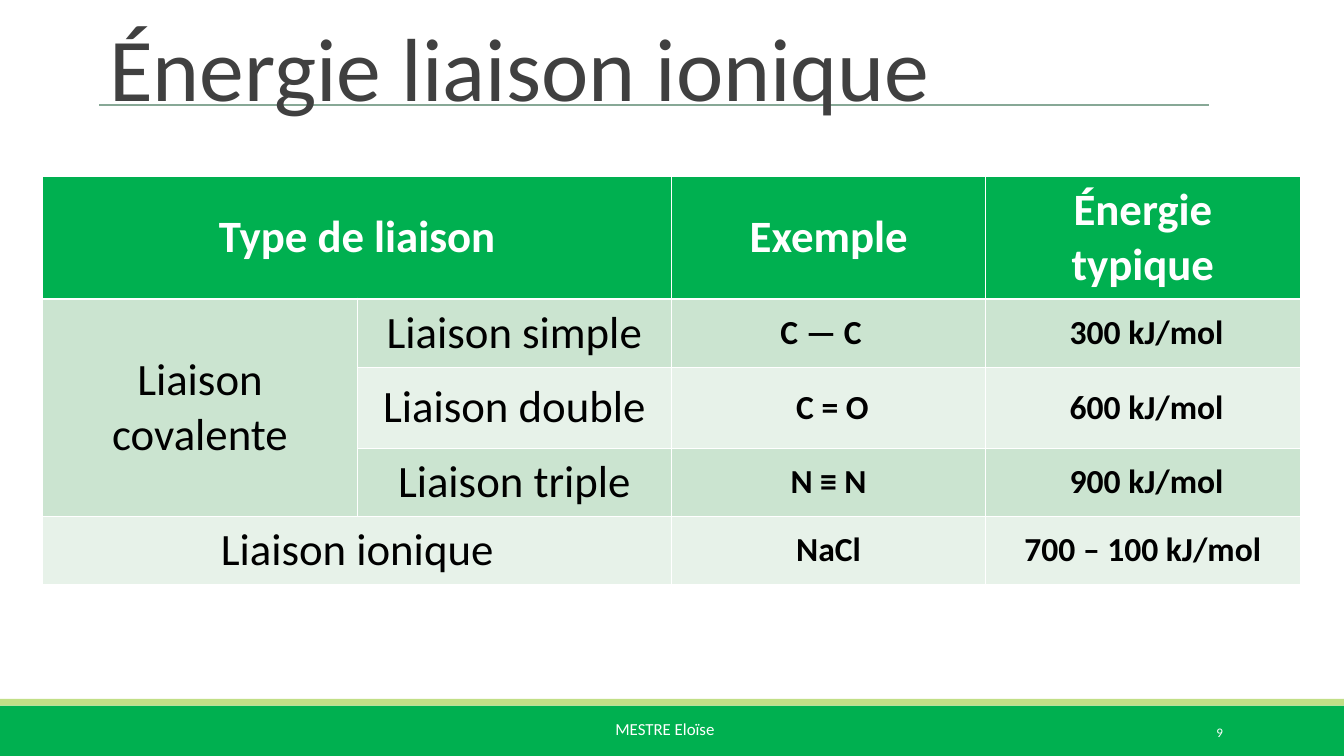
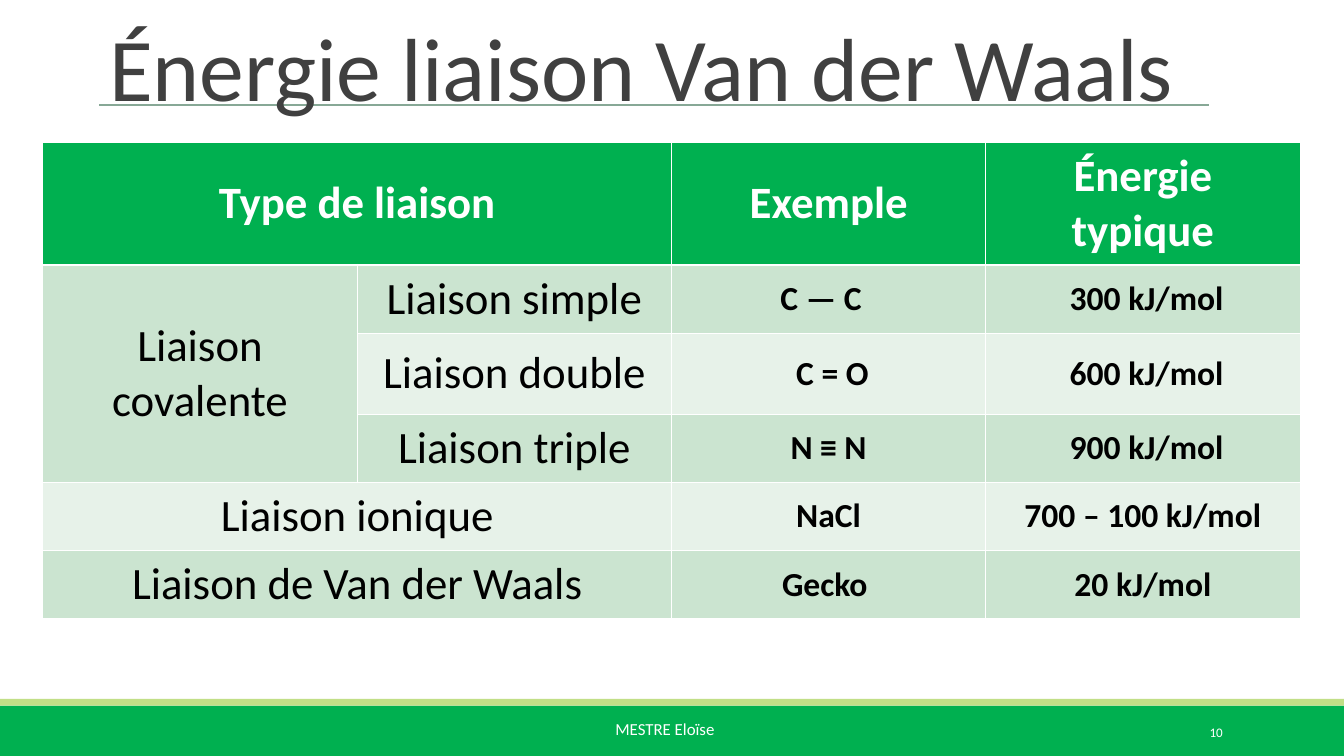
from dataclasses import dataclass

from lxml.etree import SubElement
from pptx import Presentation
from pptx.dml.color import RGBColor as Rgb
from pptx.enum.shapes import MSO_CONNECTOR as Connector, MSO_SHAPE as Preset
from pptx.enum.text import MSO_ANCHOR as Anchor, MSO_AUTO_SIZE as AutoSize, PP_ALIGN as Align
from pptx.oxml.ns import qn
from pptx.util import Cm, Pt


@dataclass(frozen=True)
class Theme:
    """Colours, font and type sizes shared by the slides."""
    font: str = "Calibri"
    green: str = "00B050"
    lime: str = "C1DF87"
    rule: str = "87A896"
    title: str = "404040"
    white: str = "FFFFFF"
    black: str = "000000"
    bands: tuple = ("E7F2E9", "CBE4D0")
    title_size: float = 48
    label_size: float = 24
    value_size: float = 18
    author_size: float = 9
    number_size: float = 7
    thin: float = 0.45
    thick: float = 1.47


THEME = Theme()
AUTHOR = "MESTRE Eloïse"
WIDTH, HEIGHT = 25.4, 14.29
BAND_TOP, STRIP_TOP, FOOTER_TOP = 13.34, 13.21, 13.46
TITLE_LEFT, TITLE_WIDTH = 1.88, 20.96
TABLE_LEFT, COLUMN_WIDTH = 0.81, 5.94
HEADER_HEIGHT, ROW_HEIGHT, DOUBLE_BOND_HEIGHT = 2.3, 1.28, 1.53

BONDS = [
    ("Type de liaison", None, "Exemple", "Énergie typique"),
    ("Liaison covalente", "Liaison simple", "C — C", " 300 kJ/mol"),
    (None, "Liaison double", " C = O", " 600 kJ/mol"),
    (None, "Liaison triple", "N ≡ N", " 900 kJ/mol"),
    ("Liaison ionique", None, "NaCl", "700 – 100 kJ/mol"),
]
VAN_DER_WAALS = ("Liaison de Van der Waals", None, "Gecko ", "20 kJ/mol")


def write(frame, text, size, colour, align=Align.LEFT, bold=False):
    """Put one formatted paragraph in a text frame and return it."""
    frame.text = text
    para = frame.paragraphs[0]
    para.alignment = align
    for span in para.runs:
        span.font.name = THEME.font
        span.font.size = Pt(size)
        span.font.bold = bold
        span.font.color.rgb = Rgb.from_string(colour)
    return para


def add_band(page, top, height, colour):
    """Draw a plain full-width band."""
    band = page.shapes.add_shape(Preset.RECTANGLE, 0, Cm(top), Cm(WIDTH), Cm(height))
    band.shadow.inherit = False
    band.fill.solid()
    band.fill.fore_color.rgb = Rgb.from_string(colour)
    band.line.fill.background()


def add_rule(page, top):
    """Draw the line that runs under the title."""
    rule = page.shapes.add_connector(
        Connector.STRAIGHT, Cm(TITLE_LEFT), Cm(top), Cm(TITLE_LEFT + TITLE_WIDTH), Cm(top))
    rule.line.color.rgb = Rgb.from_string(THEME.rule)
    rule.line.width = Pt(1)
    SubElement(rule.element.spPr, qn("a:effectLst"))


def add_footer(page, number):
    """Add the author and the page number over the green band."""
    box = page.shapes.add_textbox(Cm(11.38), Cm(FOOTER_TOP), Cm(2.64), Cm(1.02))
    box.text_frame.word_wrap = False
    box.text_frame.auto_size = AutoSize.SHAPE_TO_FIT_TEXT
    write(box.text_frame, AUTHOR, THEME.author_size, THEME.white)
    box = page.shapes.add_textbox(Cm(20.62), Cm(FOOTER_TOP), Cm(2.74), Cm(0.76))
    box.text_frame.word_wrap = True
    box.text_frame.vertical_anchor = Anchor.MIDDLE
    write(box.text_frame, str(number), THEME.number_size, THEME.white, Align.RIGHT)


def set_title(page, text):
    """Place the title in front of the rule and format it."""
    title = page.shapes.title
    title.element.getparent().append(title.element)
    title.left, title.top = Cm(TITLE_LEFT), Cm(0.41)
    title.width, title.height = Cm(TITLE_WIDTH), Cm(1.93)
    frame = title.text_frame
    frame.word_wrap = True
    frame.auto_size = AutoSize.NONE
    frame.vertical_anchor = Anchor.BOTTOM
    frame.margin_left = frame.margin_right = Cm(0.18)
    frame.margin_top = frame.margin_bottom = Cm(0.08)
    write(frame, text, THEME.title_size, THEME.title).line_spacing = 0.85


def set_borders(cell, row):
    """Outline a cell in white, thicker between header and body."""
    properties = cell._tc.get_or_add_tcPr()
    for side in ("L", "R", "T", "B"):
        heavy = (row, side) in ((0, "B"), (1, "T"))
        width = Pt(THEME.thick if heavy else THEME.thin)
        line = SubElement(properties, qn(f"a:ln{side}"), w=str(width))
        fill = SubElement(line, qn("a:solidFill"))
        SubElement(fill, qn("a:srgbClr"), val=THEME.white)


def format_cell(cell, row, column, text):
    """Style one table cell according to its row and column."""
    header, label = row == 0, column < 2
    set_borders(cell, row)
    cell.fill.solid()
    cell.fill.fore_color.rgb = Rgb.from_string(THEME.green if header else THEME.bands[row % 2])
    cell.vertical_anchor = Anchor.MIDDLE
    if text:
        write(cell.text_frame, text,
              THEME.label_size if header or label else THEME.value_size,
              THEME.white if header else THEME.black,
              Align.CENTER, header or not label)


def add_bond_table(page, rows, top):
    """Build the table of bond types, examples and energies."""
    heights = [HEADER_HEIGHT, ROW_HEIGHT, DOUBLE_BOND_HEIGHT] + [ROW_HEIGHT] * (len(rows) - 3)
    columns = len(rows[0])
    table = page.shapes.add_table(
        len(rows), columns, Cm(TABLE_LEFT), Cm(top),
        Cm(COLUMN_WIDTH * columns), Cm(sum(heights))).table
    table.first_row = table.horz_banding = False
    for column in table.columns:
        column.width = Cm(COLUMN_WIDTH)
    for row, texts in enumerate(rows):
        table.rows[row].height = Cm(heights[row])
        for column, text in enumerate(texts):
            format_cell(table.cell(row, column), row, column, text)
        if texts[1] is None:
            table.cell(row, 0).merge(table.cell(row, 1))
    table.cell(1, 0).merge(table.cell(3, 0))
    table.cell(1, 2).margin_right = Cm(0.54)


def add_bond_page(deck, number, title, rows, table_top):
    """Add one slide with its bands, title, footer and table."""
    page = deck.slides.add_slide(deck.slide_layouts[5])
    add_band(page, BAND_TOP, HEIGHT - BAND_TOP, THEME.green)
    add_band(page, STRIP_TOP, BAND_TOP - STRIP_TOP, THEME.lime)
    add_rule(page, 1.98)
    add_footer(page, number)
    set_title(page, title)
    add_bond_table(page, rows, table_top)


def main():
    """Build and save the deck."""
    deck = Presentation()
    deck.slide_width, deck.slide_height = Cm(WIDTH), Cm(HEIGHT)
    add_bond_page(deck, 9, "Énergie liaison ionique", BONDS, 3.33)
    add_bond_page(deck, 10, "Énergie liaison Van der Waals", BONDS + [VAN_DER_WAALS], 2.69)
    deck.save("out.pptx")


if __name__ == "__main__":
    main()
